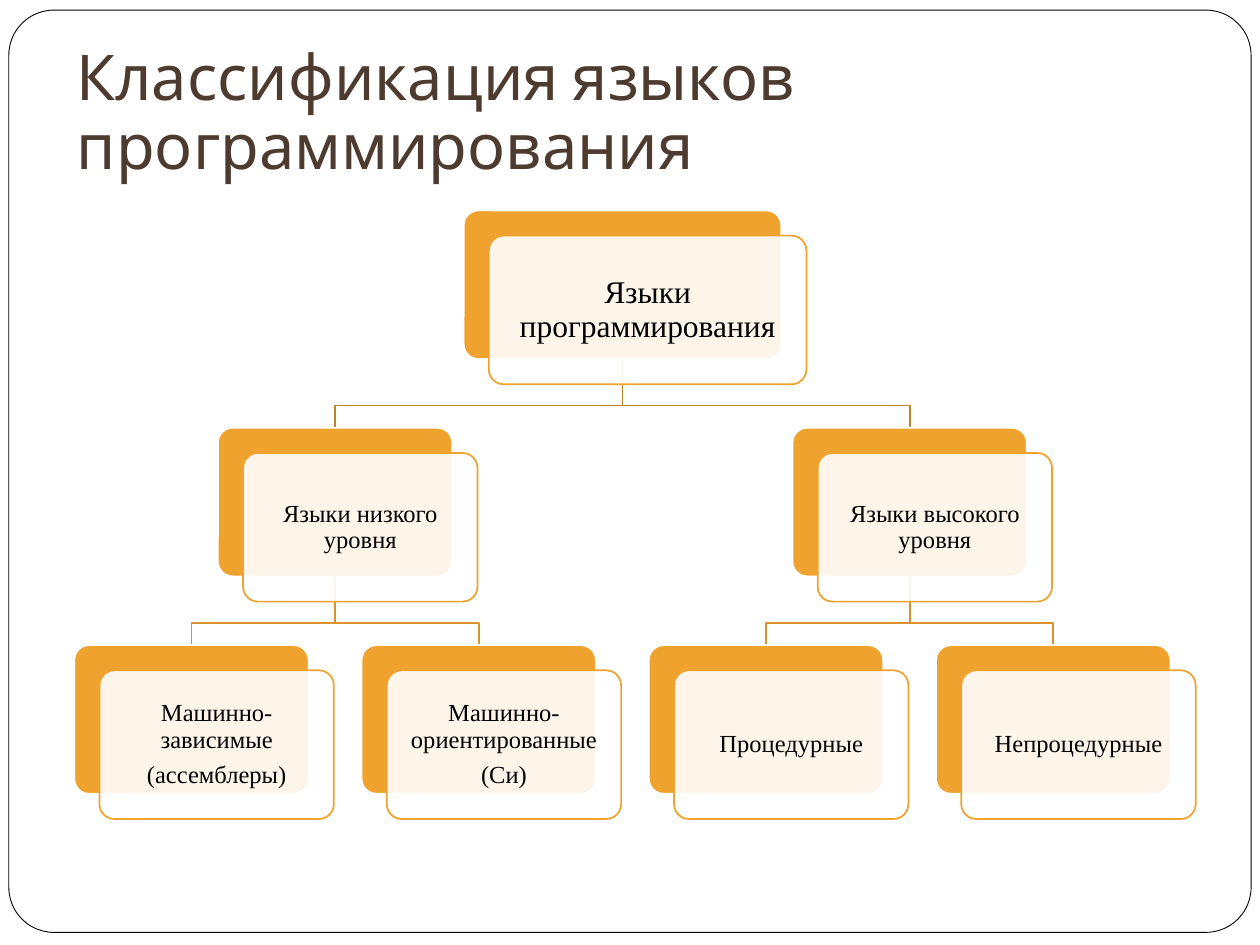
"""Build a slide with a tree that classifies programming languages."""
from dataclasses import dataclass

from lxml import etree
from pptx import Presentation
from pptx.dml.color import RGBColor
from pptx.enum.shapes import MSO_SHAPE
from pptx.enum.text import MSO_ANCHOR, MSO_AUTO_SIZE, PP_ALIGN
from pptx.oxml.ns import qn
from pptx.shapes.autoshape import Shape
from pptx.shapes.shapetree import SlideShapes
from pptx.slide import Slide
from pptx.util import Inches, Pt

ROUNDED = MSO_SHAPE.ROUNDED_RECTANGLE
MIDDLE, BOTTOM = MSO_ANCHOR.MIDDLE, MSO_ANCHOR.BOTTOM
CENTER, LEFT = PP_ALIGN.CENTER, PP_ALIGN.LEFT
NO_AUTOFIT = MSO_AUTO_SIZE.NONE

COLORS = {
    "paper": "FFFFFF",
    "ink": "000000",
    "title": "4E3B30",
    "card": "F0A22E",
    "upper_branch": "C08225",
    "lower_branch": "DA932A",
}
TITLE_FONT, CARD_FONT = "Cabin", "Times New Roman"
CARD_HEIGHT = 1.18
PANEL_SHIFT = 0.2
LABEL_MARGIN = 0.035
FIRST_CENTER, COLUMN_STEP = 1.52, 2.28
FIRST_TOP, LEVEL_STEP = 1.67, 1.725
ELBOW_DROP = 0.37


@dataclass(frozen=True)
class Category:
    """A card of the tree; column counts leaf positions from the left."""
    label: str
    column: float
    level: int
    children: tuple["Category", ...] = ()
    width: float = 1.86
    size: int = 14
    inset: float = 0.06

    @property
    def center(self) -> float:
        return FIRST_CENTER + COLUMN_STEP * self.column

    @property
    def top(self) -> float:
        return FIRST_TOP + LEVEL_STEP * self.level


LOW_LEVEL = Category("Языки низкого уровня", 0.5, 1, (
    Category("Машинно-зависимые\n(ассемблеры)", 0, 2),
    Category("Машинно-ориентированные\n(Си)", 1, 2),
))
HIGH_LEVEL = Category("Языки высокого уровня", 2.5, 1, (
    Category("Процедурные", 2, 2),
    Category("Непроцедурные", 3, 2),
))
ROOT = Category("Языки программирования", 1.5, 0, (LOW_LEVEL, HIGH_LEVEL),
                width=2.52, size=18, inset=0.07)


def color(name: str) -> RGBColor:
    return RGBColor.from_string(COLORS[name])


def add_rounded(shapes: SlideShapes, left: float, top: float, width: float, height: float,
                corner: float, fill: str, line: str, weight: float) -> Shape:
    box = shapes.add_shape(ROUNDED, Inches(left), Inches(top), Inches(width), Inches(height))
    box.adjustments[0] = corner
    box.shadow.inherit = False
    box.fill.solid()
    box.fill.fore_color.rgb = color(fill)
    box.line.color.rgb = color(line)
    box.line.width = Pt(weight)
    return box


def set_opacity(box: Shape, percent: int) -> None:
    fill_color = box.fill._xPr.find(qn("a:solidFill"))[0]
    etree.SubElement(fill_color, qn("a:alpha"), val=str(percent * 1000))


def add_branch(shapes: SlideShapes, parent: Category, child: Category) -> None:
    start = parent.top + CARD_HEIGHT
    elbow = start + ELBOW_DROP
    outline = shapes.build_freeform(Inches(parent.center), Inches(start))
    outline.add_line_segments([
        (Inches(parent.center), Inches(elbow)),
        (Inches(child.center), Inches(elbow)),
        (Inches(child.center), Inches(child.top)),
    ], close=False)
    branch = outline.convert_to_shape()
    branch.shadow.inherit = False
    branch.fill.background()
    branch.line.color.rgb = color("lower_branch" if parent.level else "upper_branch")
    branch.line.width = Pt(1)


def add_branches(shapes: SlideShapes, parent: Category) -> None:
    for child in parent.children:
        add_branch(shapes, parent, child)
        add_branches(shapes, child)


def add_label(shapes: SlideShapes, category: Category, left: float, top: float) -> None:
    label = shapes.add_textbox(
        Inches(left + LABEL_MARGIN), Inches(top + LABEL_MARGIN),
        Inches(category.width - 2 * LABEL_MARGIN), Inches(CARD_HEIGHT - 2 * LABEL_MARGIN))
    frame = label.text_frame
    frame.word_wrap = True
    frame.vertical_anchor = MIDDLE
    frame.margin_left = frame.margin_right = Inches(category.inset)
    frame.margin_top = frame.margin_bottom = Inches(category.inset)
    frame.text = category.label
    for paragraph in frame.paragraphs:
        paragraph.alignment = CENTER
        paragraph.line_spacing = 0.9
        paragraph.space_after = Pt(0.35 * category.size)
        for run in paragraph.runs:
            run.font.name = CARD_FONT
            run.font.size = Pt(category.size)
            run.font.color.rgb = color("ink")


def add_cards(shapes: SlideShapes, category: Category) -> None:
    left, top = category.center - category.width / 2, category.top
    add_rounded(shapes, left, top, category.width, CARD_HEIGHT, 0.1, "card", "paper", 1)
    left, top = left + PANEL_SHIFT, top + PANEL_SHIFT
    panel = add_rounded(shapes, left, top, category.width, CARD_HEIGHT, 0.1, "paper", "card", 1)
    set_opacity(panel, 90)
    add_label(shapes, category, left, top)
    for child in category.children:
        add_cards(shapes, child)


def add_border(shapes: SlideShapes) -> None:
    border = add_rounded(shapes, 0.07, 0.08, 9.86, 7.32, 0.049, "paper", "ink", 0.5)
    shapes.title._element.addprevious(border._element)


def set_title(slide: Slide, text: str) -> None:
    title = slide.shapes.title
    title.left, title.top = Inches(0.51), Inches(0.3)
    title.width, title.height = Inches(8.99), Inches(1.25)
    frame = title.text_frame
    frame.auto_size = NO_AUTOFIT
    frame.word_wrap = True
    frame.vertical_anchor = BOTTOM
    frame.margin_left = frame.margin_right = frame.margin_bottom = Inches(0.1)
    frame.margin_top = Inches(0.05)
    frame.text = text
    paragraph = frame.paragraphs[0]
    paragraph.alignment = LEFT
    paragraph.line_spacing = 0.9
    font = paragraph.runs[0].font
    font.name = TITLE_FONT
    font.size = Pt(36)
    font.color.rgb = color("title")


def main() -> None:
    presentation = Presentation()
    presentation.slide_width, presentation.slide_height = Inches(10), Inches(7.5)
    slide = presentation.slides.add_slide(presentation.slide_layouts[5])
    add_border(slide.shapes)
    set_title(slide, "Классификация языков программирования")
    add_branches(slide.shapes, ROOT)
    add_cards(slide.shapes, ROOT)
    presentation.save("out.pptx")


if __name__ == "__main__":
    main()
